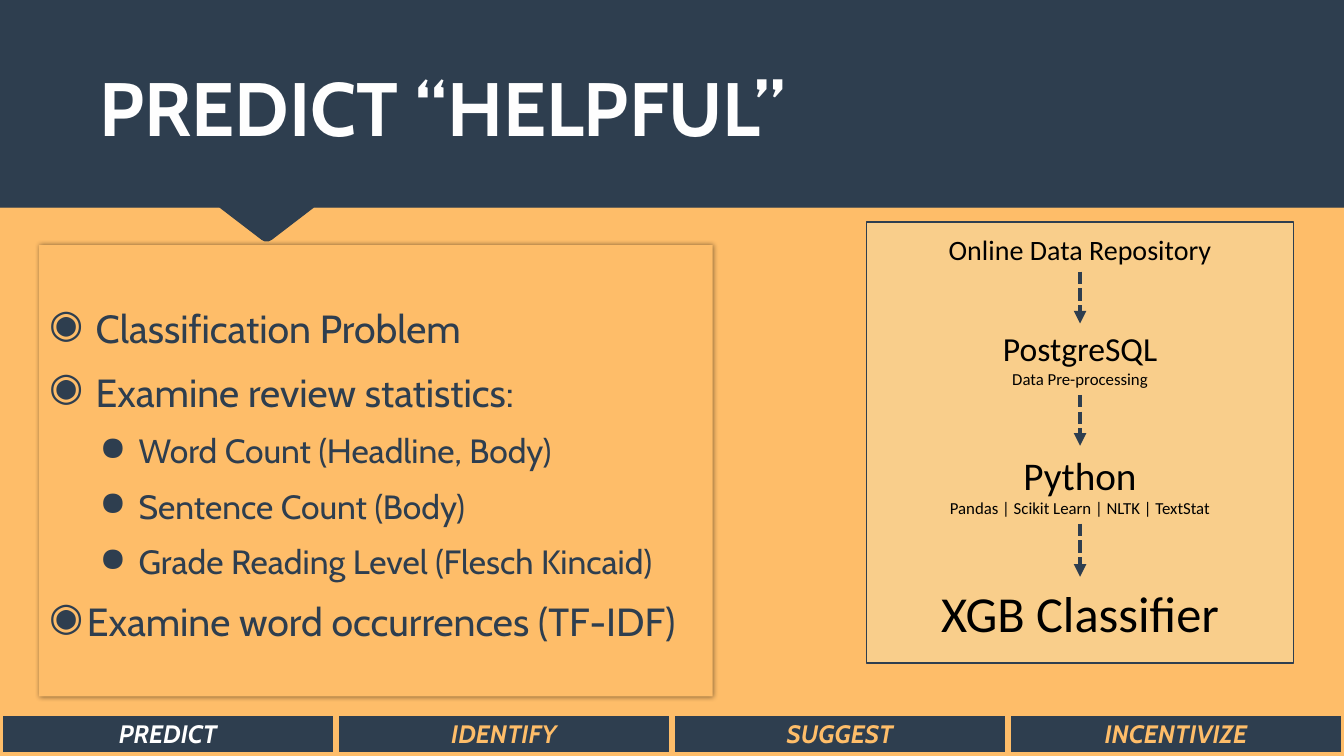
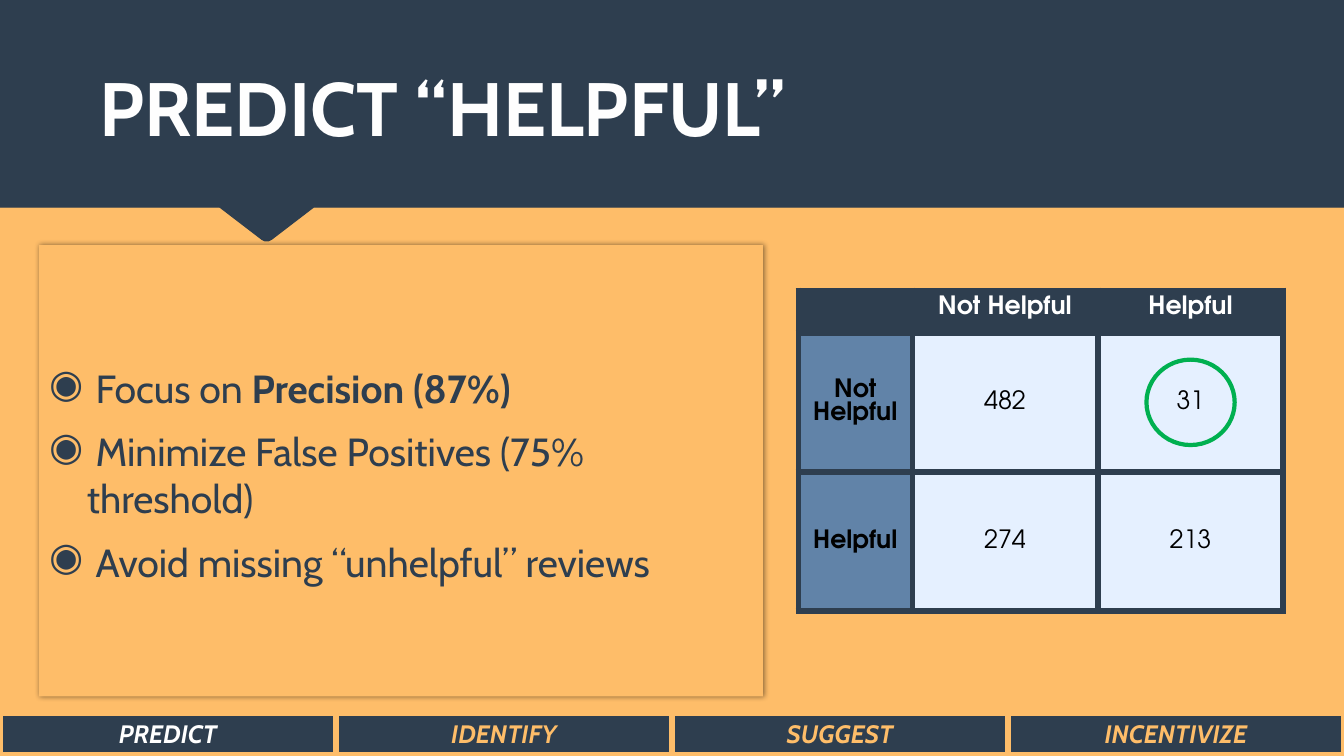
from dataclasses import dataclass
from itertools import pairwise

from lxml.etree import SubElement
from pptx import Presentation
from pptx.dml.color import RGBColor
from pptx.enum.dml import MSO_LINE
from pptx.enum.shapes import MSO_CONNECTOR, MSO_SHAPE
from pptx.enum.text import MSO_ANCHOR, PP_ALIGN
from pptx.oxml import parse_xml
from pptx.oxml.ns import nsdecls, qn
from pptx.util import Pt


@dataclass(frozen=True)
class Theme:
    navy: str = "2E3E4F"
    orange: str = "FEBD69"
    white: str = "FFFFFF"
    title_white: str = "FEFEFE"
    black: str = "000000"
    cream: str = "F0F9DF"
    steel: str = "6183A8"
    ice: str = "E5F0FF"
    green: str = "00B050"
    heading_font: str = "Cabin"
    flow_font: str = "Calibri"
    matrix_font: str = "TeX Gyre Adventor"
    title_size: int = 54
    bullet_size: int = 28
    sub_bullet_size: int = 24
    table_size: int = 18
    note_size: int = 12


@dataclass(frozen=True)
class Box:
    left: float
    top: float
    width: float
    height: float

    @property
    def lengths(self):
        return Pt(self.left), Pt(self.top), Pt(self.width), Pt(self.height)

    @property
    def center(self):
        return self.left + self.width / 2, self.top + self.height / 2


THEME = Theme()
PAGE = Box(0, 0, 960, 540)
TITLE = Box(64, 35.5, 832, 76)
NAVIGATION = Box(0, 509.75, 960, 29.5)
BAND_OUTLINE = [(960, 0), (0, 0), (0, 148.5), (157, 148.5), (187.2, 171.2), (189, 172),
                (192, 172), (194.2, 171.2), (224, 148.5), (960, 148.5)]
SECTIONS = ["PREDICT", "IDENTIFY", "SUGGEST", "INCENTIVIZE"]
# Level: bullet, left margin, hanging indent, type size
BULLETS = {
    0: ("◉", 27, 27, THEME.bullet_size),
    1: ("●", 58.5, 22.5, THEME.sub_bullet_size),
}


def rgb(color):
    return RGBColor.from_string(color)


def write(paragraph, text, *, size, color, font=THEME.heading_font, bold=False, italic=False):
    run = paragraph.add_run()
    run.text = text
    run.font.size = Pt(size)
    run.font.name = font
    run.font.bold = bold
    run.font.italic = italic
    run.font.color.rgb = rgb(color)
    return run


def next_paragraph(frame, index):
    return frame.paragraphs[0] if index == 0 else frame.add_paragraph()


def shadow_effect(blur, distance, opacity):
    return parse_xml(
        f'<a:effectLst {nsdecls("a")}><a:outerShdw blurRad="{Pt(blur)}" '
        f'dist="{Pt(distance)}" dir="2700000" algn="ctr" rotWithShape="0">'
        f'<a:srgbClr val="000000"><a:alpha val="{opacity * 1000}"/></a:srgbClr>'
        '</a:outerShdw></a:effectLst>')


def style_shape(shape, fill=None, line=None, line_width=1.0):
    shape.shadow.inherit = False
    if fill:
        shape.fill.solid()
        shape.fill.fore_color.rgb = rgb(fill)
    else:
        shape.fill.background()
    if line:
        shape.line.color.rgb = rgb(line)
        shape.line.width = Pt(line_width)
    else:
        shape.line.fill.background()


def add_text_frame(slide, box):
    frame = slide.shapes.add_textbox(*box.lengths).text_frame
    frame.word_wrap = True
    return frame


def add_grid(slide, box, column_widths, row_heights):
    """Add a plain table without the built-in banding."""
    table = slide.shapes.add_table(len(row_heights), len(column_widths), *box.lengths).table
    table.first_row = table.horz_banding = False
    for column, width in zip(table.columns, column_widths):
        column.width = Pt(width)
    for row, height in zip(table.rows, row_heights):
        row.height = Pt(height)
    return table


def fill_cell(cell, text, *, fill, border, anchor=MSO_ANCHOR.MIDDLE, **text_format):
    cell.fill.solid()
    cell.fill.fore_color.rgb = rgb(fill)
    cell.vertical_anchor = anchor
    properties = cell._tc.get_or_add_tcPr()
    for index, side in enumerate("LRTB"):
        properties.insert(index, parse_xml(
            f'<a:ln{side} {nsdecls("a")} w="{Pt(4.5)}"><a:solidFill>'
            f'<a:srgbClr val="{border}"/></a:solidFill></a:ln{side}>'))
    paragraph = cell.text_frame.paragraphs[0]
    paragraph.alignment = PP_ALIGN.CENTER
    if text:
        write(paragraph, text, size=THEME.table_size, **text_format)


def add_band(slide):
    builder = slide.shapes.build_freeform(*BAND_OUTLINE[0], scale=Pt(1))
    builder.add_line_segments(BAND_OUTLINE[1:], close=True)
    style_shape(builder.convert_to_shape(), THEME.navy, THEME.navy, 0.75)


def add_title(slide, box, text):
    frame = add_text_frame(slide, box)
    frame.vertical_anchor = MSO_ANCHOR.BOTTOM
    run = write(frame.paragraphs[0], text, size=THEME.title_size,
                color=THEME.title_white, bold=True)
    color_fill = run._r.get_or_add_rPr().find(qn("a:solidFill"))
    color_fill.addnext(shadow_effect(4, 2, 45))


def add_navigation(slide, box, current):
    count = len(SECTIONS)
    table = add_grid(slide, box, [box.width / count] * count, [box.height])
    for cell, section in zip(table.rows[0].cells, SECTIONS):
        fill_cell(cell, section, fill=THEME.navy, border=THEME.orange, bold=True, italic=True,
                  color=THEME.white if section == current else THEME.orange)


def set_bullet(paragraph, level):
    character, margin, hanging, size = BULLETS[level]
    properties = paragraph._p.get_or_add_pPr()
    properties.set("marL", str(Pt(margin)))
    properties.set("indent", str(-Pt(hanging)))
    bullet_color = SubElement(properties, qn("a:buClr"))
    SubElement(bullet_color, qn("a:srgbClr")).set("val", THEME.navy)
    SubElement(properties, qn("a:buChar")).set("char", character)
    paragraph.level = level
    return size


def add_bullet_panel(slide, box, items):
    """Items are (level, text) or (level, text, bold ending)."""
    panel = slide.shapes.add_shape(MSO_SHAPE.RECTANGLE, *box.lengths)
    style_shape(panel, THEME.orange)
    properties = panel._element.spPr
    properties.replace(properties.find(qn("a:effectLst")), shadow_effect(4, 0.5, 45))
    frame = panel.text_frame
    frame.word_wrap = True
    frame.vertical_anchor = MSO_ANCHOR.MIDDLE
    frame.margin_top = Pt(9)
    for index, (level, text, *bold_ending) in enumerate(items):
        paragraph = next_paragraph(frame, index)
        size = set_bullet(paragraph, level)
        paragraph.alignment = PP_ALIGN.LEFT
        paragraph.space_before = Pt(round(size * 0.2, 1) if index else 0)
        paragraph.space_after = Pt(6)
        write(paragraph, text, size=size, color=THEME.navy)
        for ending in bold_ending:
            write(paragraph, ending, size=size, color=THEME.navy, bold=True)


def add_flow_arrow(slide, x, top, bottom):
    arrow = slide.shapes.add_connector(MSO_CONNECTOR.STRAIGHT, Pt(x), Pt(top), Pt(x), Pt(bottom))
    arrow.line.color.rgb = rgb(THEME.navy)
    arrow.line.width = Pt(3)
    arrow.line.dash_style = MSO_LINE.SQUARE_DOT
    SubElement(arrow.line._get_or_add_ln(), qn("a:tailEnd")).set("type", "triangle")
    SubElement(arrow._element.spPr, qn("a:effectLst"))


def add_flow(slide, box, steps):
    """Steps are (offset from the panel top, height, [(text, size), ...])."""
    panel = slide.shapes.add_shape(MSO_SHAPE.RECTANGLE, *box.lengths)
    style_shape(panel, THEME.cream, THEME.navy, 1.25)
    color = panel._element.spPr.find(qn("a:solidFill"))[0]
    SubElement(color, qn("a:alpha")).set("val", "29000")
    for offset, height, lines in steps:
        frame = add_text_frame(slide, Box(box.left, box.top + offset, box.width, height))
        for index, (text, size) in enumerate(lines):
            paragraph = next_paragraph(frame, index)
            paragraph.alignment = PP_ALIGN.CENTER
            write(paragraph, text, size=size, color=THEME.black, font=THEME.flow_font)
    for (offset, height, _), (next_offset, *_) in pairwise(steps):
        add_flow_arrow(slide, box.center[0], box.top + offset + height, box.top + next_offset)


def add_confusion_matrix(slide, box, labels, counts):
    label_width, header_height = 81.4, 30.2
    cell_width = (box.width - label_width) / len(labels)
    cell_height = (box.height - header_height) / len(labels)
    table = add_grid(slide, box, [label_width] + [cell_width] * len(labels),
                     [header_height] + [cell_height] * len(labels))
    shared = {"border": THEME.navy, "font": THEME.matrix_font}
    for column, text in enumerate(["", *labels]):
        fill_cell(table.cell(0, column), text, fill=THEME.navy, color=THEME.white,
                  bold=True, anchor=MSO_ANCHOR.TOP, **shared)
    for row, (label, values) in enumerate(zip(labels, counts), start=1):
        fill_cell(table.cell(row, 0), label, fill=THEME.steel, color=THEME.black,
                  bold=True, **shared)
        for column, value in enumerate(values, start=1):
            fill_cell(table.cell(row, column), str(value), fill=THEME.ice,
                      color=THEME.black, **shared)
    ring_width, ring_height = 63, 61
    ring = Box(box.left + box.width - (cell_width + ring_width) / 2,
               box.top + header_height + (cell_height - ring_height) / 2,
               ring_width, ring_height)
    style_shape(slide.shapes.add_shape(MSO_SHAPE.OVAL, *ring.lengths), line=THEME.green,
                line_width=3)


def add_section_slide(presentation, title, section, panel_width, items):
    slide = presentation.slides.add_slide(presentation.slide_layouts[6])
    slide.background.fill.solid()
    slide.background.fill.fore_color.rgb = rgb(THEME.orange)
    add_band(slide)
    add_title(slide, TITLE, title)
    add_bullet_panel(slide, Box(28, 175, panel_width, 322.5), items)
    add_navigation(slide, NAVIGATION, section)
    return slide


def main():
    presentation = Presentation()
    presentation.slide_width, presentation.slide_height = PAGE.lengths[2:]
    title = "PREDICT “HELPFUL”"

    method_slide = add_section_slide(presentation, title, "PREDICT", 481, [
        (0, " Classification Problem"),
        (0, " Examine review statistics:"),
        (1, " Word Count (Headline, Body)"),
        (1, " Sentence Count (Body)"),
        (1, " Grade Reading Level (Flesch Kincaid)"),
        (0, "Examine word occurrences (TF-IDF)"),
    ])
    add_flow(method_slide, Box(619, 158.5, 305, 315), [
        (4, 31.5, [("Online Data Repository", 20)]),
        (72.5, 51, [("PostgreSQL", 24), ("Data Pre-processing", THEME.note_size)]),
        (160, 55.5, [("Python", 28),
                     ("Pandas | Scikit Learn | NLTK | TextStat", THEME.note_size)]),
        (253.5, 51, [("XGB Classifier", 36)]),
    ])

    result_slide = add_section_slide(presentation, title, "PREDICT", 517, [
        (0, " Focus on ", "Precision (87%)"),
        (0, " Minimize False Positives (75% threshold)"),
        (0, " Avoid missing “unhelpful” reviews"),
    ])
    add_confusion_matrix(result_slide, Box(570.25, 207.5, 346.4, 229),
                         ["Not Helpful", "Helpful"], [(482, 31), (274, 213)])
    presentation.save("out.pptx")


if __name__ == "__main__":
    main()
